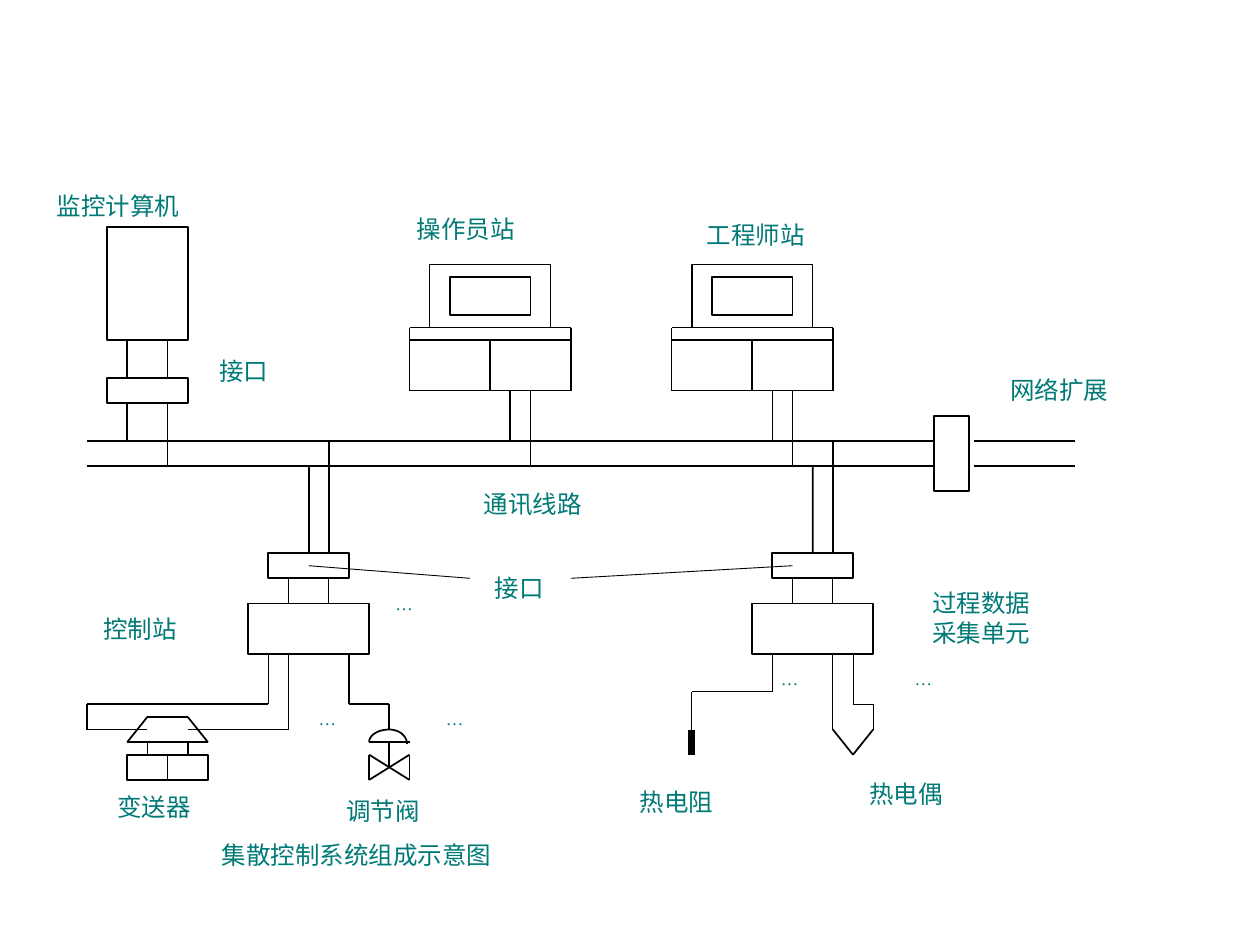
from dataclasses import dataclass
from itertools import pairwise
from math import cos, pi, sin
from typing import Any

from lxml.etree import SubElement
from pptx import Presentation
from pptx.dml.color import RGBColor
from pptx.enum.shapes import MSO_CONNECTOR, MSO_SHAPE
from pptx.enum.text import PP_ALIGN
from pptx.oxml.ns import qn
from pptx.util import Inches, Pt


@dataclass(frozen=True)
class Theme:
    """Colours, type sizes and line widths of the diagram."""
    ink: RGBColor = RGBColor(0x00, 0x00, 0x00)
    text: RGBColor = RGBColor(0x00, 0x7A, 0x77)
    font: str = "Times New Roman"
    label: float = 14
    dots: float = 10
    thin: float = 0.5
    normal: float = 1
    heavy: float = 4


THEME = Theme()
GRID_LEFT, GRID_TOP = 0.69, 1.8
COLUMN, ROW = 0.16, 0.1


@dataclass(frozen=True)
class Box:
    """A region of the slide whose corner sits on the grid."""
    slide: Any
    column: float
    row: float

    def point(self, column, row):
        """Turn a grid position within the box into slide lengths."""
        return (Inches(GRID_LEFT + (self.column + column) * COLUMN),
                Inches(GRID_TOP + (self.row + row) * ROW))

    def outline(self, shape, width):
        """Give a shape a plain black line without fill or shadow."""
        shape.fill.background()
        shape.line.color.rgb = THEME.ink
        shape.line.width = Pt(width)
        shape.shadow.inherit = False

    def rectangle(self, column, row, columns, rows):
        """Draw an open rectangle."""
        shape = self.slide.shapes.add_shape(
            MSO_SHAPE.RECTANGLE, *self.point(column, row),
            Inches(columns * COLUMN), Inches(rows * ROW))
        self.outline(shape, THEME.normal)
        return shape

    def wire(self, *points, width=THEME.normal):
        """Draw straight connectors through the points and return the last."""
        for start, end in pairwise(points):
            connector = self.slide.shapes.add_connector(
                MSO_CONNECTOR.STRAIGHT, *self.point(*start), *self.point(*end))
            connector.line.color.rgb = THEME.ink
            connector.line.width = Pt(width)
            SubElement(connector._element.spPr, qn("a:effectLst"))
        return connector

    def quarter_arc(self, column, row, columns, rows):
        """Draw a quarter ellipse from the top of its centre to one side."""
        angles = [step * pi / 20 for step in range(11)]
        points = [self.point(column + columns * sin(angle), row - rows * cos(angle))
                  for angle in angles]
        builder = self.slide.shapes.build_freeform(*points[0])
        builder.add_line_segments(points[1:], close=False)
        self.outline(builder.convert_to_shape(), THEME.normal)

    def label(self, column, row, *lines, columns=None, rows=4.1, size=THEME.label):
        """Write one paragraph for each line of text."""
        columns = columns or 2.06 + 1.94 * len(lines[0])
        shape = self.slide.shapes.add_textbox(
            *self.point(column, row), Inches(columns * COLUMN), Inches(rows * ROW))
        frame = shape.text_frame
        frame.word_wrap = True
        for index, line in enumerate(lines):
            paragraph = frame.add_paragraph() if index else frame.paragraphs[0]
            paragraph.alignment = PP_ALIGN.JUSTIFY
            run = paragraph.add_run()
            run.text = line
            run.font.name = THEME.font
            run.font.size = Pt(size)
            run.font.color.rgb = THEME.text

    def dots(self, column, row):
        """Write a small ellipsis for further devices."""
        self.label(column, row, "…", size=THEME.dots)


def draw_network(box):
    """Draw the communication lines and the network extension."""
    for row in (0, 2):
        box.wire((0, row), (42, row))
        box.wire((44, row), (49, row))
    box.rectangle(42, -2, 1.75, 6)
    box.label(45.19, -5.7, "网络扩展")
    box.label(19.06, 3.3, "通讯线路")


def draw_supervisor(box):
    """Draw the supervising computer with its interface."""
    box.rectangle(0, 0, 4, 9)
    box.rectangle(0, 12, 4, 2)
    for column, bus_row in ((1, 17), (3, 19)):
        box.wire((column, 9), (column, 12))
        box.wire((column, 14), (column, bus_row))
    box.label(-3.12, -3.3, "监控计算机")
    box.label(4.94, 9.8, "接口")


def draw_console(box, name, name_column, name_row):
    """Draw a console with its screen, desk and bus connection."""
    box.rectangle(1, 0, 6, 5)
    box.rectangle(2, 1, 4, 3)
    box.wire((0, 5), (8, 5), (8, 10), (0, 10), (0, 5))
    box.wire((0, 6), (8, 6))
    box.wire((4, 6), (4, 10))
    box.wire((5, 10), (5, 14))
    box.wire((6, 10), (6, 16))
    box.label(name_column, name_row, name)


def draw_field_unit(box):
    """Draw a field unit with its interface and bus connection."""
    interface = box.rectangle(1, 0, 4, 2)
    box.rectangle(0, 4, 6, 4)
    box.wire((3, -6.9), (3, 0)).end_connect(interface, 0)
    box.wire((4, -8.9), (4, 0))
    for column in (2, 4):
        box.wire((column, 2), (column, 4), width=THEME.thin)


def draw_control_station(box):
    """Draw the control station and its name."""
    draw_field_unit(box)
    box.label(-7.81, 4.3, "控制站")
    box.dots(6.69, 2.7)


def draw_acquisition_unit(box):
    """Draw the data acquisition unit and its name."""
    draw_field_unit(box)
    box.label(8.31, 2.3, "过程数据", "采集单元", columns=10.69, rows=7.6)


def draw_interface_note(box):
    """Draw the shared interface name with its two leaders."""
    box.wire((0, 1), (8, 2), width=THEME.thin)
    box.wire((24, 1), (13, 2), width=THEME.thin)
    box.label(8.62, 1.1, "接口")


def draw_transmitter(box):
    """Draw the transmitter and its wiring."""
    box.wire((9, 0), (9, 4), (0, 4), (0, 6), (3, 6))
    box.wire((5, 6), (10, 6), (10, 0))
    box.wire((3, 5), (5, 5), (6, 7), (2, 7), (3, 5))
    for column in (3, 5):
        box.wire((column, 7), (column, 8))
    base = box.rectangle(2, 8, 4, 2)
    divider = box.wire((4, 8), (4, 10))
    divider.begin_connect(base, 0)
    divider.end_connect(base, 2)
    box.label(0.88, 10.5, "变送器")
    box.dots(10.88, 3.8)


def draw_valve(box):
    """Draw the control valve with its domed actuator."""
    box.wire((0, 0), (0, 4), (2, 4), (2, 6))
    box.quarter_arc(2, 7, -1, 1)
    box.quarter_arc(2, 7.15, 0.88, 1.15)
    box.wire((1, 7), (3, 7))
    box.wire((2, 7), (2, 9))
    box.wire((1, 8), (1, 10), (3, 8), (3, 10), (1, 8))
    box.label(-0.75, 10.8, "调节阀")
    box.dots(4.19, 3.8)


def draw_resistance_sensor(box):
    """Draw the thermal resistance sensor."""
    box.wire((4, 0), (4, 3), (0, 3), (0, 6), width=THEME.thin)
    box.wire((0, 6), (0, 8), width=THEME.heavy)
    box.label(-3.19, 10.1, "热电阻")
    box.dots(3.81, 0.6)


def draw_thermocouple(box):
    """Draw the thermocouple."""
    box.wire((0, 0), (0, 6), width=THEME.thin)
    box.wire((1, 0), (1, 4), (2, 4), (2, 6), width=THEME.thin)
    box.wire((0, 6), (1, 8), (2, 6))
    box.label(1.19, 9.4, "热电偶")
    box.dots(3.44, 0.6)


def draw_caption(box):
    """Write the caption below the diagram."""
    box.label(0, 0, "集散控制系统组成示意图", columns=40.8, rows=4.4)


def main():
    """Build the slide and save it."""
    presentation = Presentation()
    presentation.slide_width, presentation.slide_height = Inches(10), Inches(7.5)
    slide = presentation.slides.add_slide(presentation.slide_layouts[6])
    unit_row, device_row = 25.9, 33.9
    draw_network(Box(slide, 0, 17))
    draw_supervisor(Box(slide, 1, 0))
    draw_console(Box(slide, 16, 3), "操作员站", -0.25, -4.5)
    draw_console(Box(slide, 29, 3), "工程师站", 1.12, -4)
    draw_control_station(Box(slide, 8, unit_row))
    draw_acquisition_unit(Box(slide, 33, unit_row))
    draw_interface_note(Box(slide, 11, unit_row))
    draw_transmitter(Box(slide, 0, device_row))
    draw_valve(Box(slide, 13, device_row))
    draw_resistance_sensor(Box(slide, 30, device_row))
    draw_thermocouple(Box(slide, 37, device_row))
    draw_caption(Box(slide, 6.06, 48.2))
    presentation.save("out.pptx")


if __name__ == "__main__":
    main()
